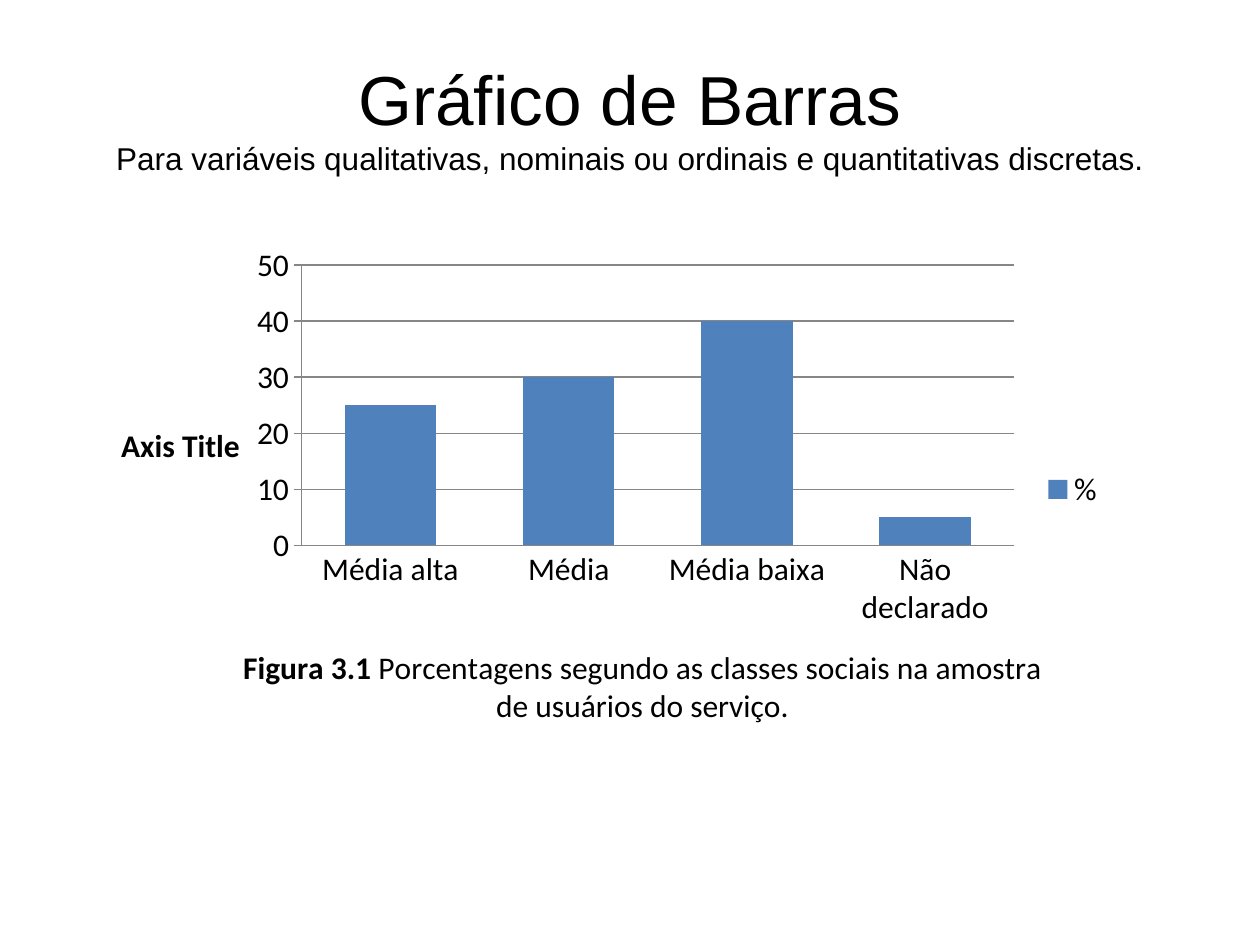
import pptx
import pptx.chart.data
import pptx.dml.color
import pptx.enum.chart
import pptx.enum.text
import pptx.oxml.ns
import pptx.oxml.xmlchemy
import pptx.util

WIDE, HIGH = 10, 7.5
HUES = {"text": "000000", "bar": "4F81BD", "line": "868686"}
qn = pptx.oxml.ns.qn
make = pptx.oxml.xmlchemy.OxmlElement


def hue(name):
    return pptx.dml.color.RGBColor.from_string(HUES[name])


def style(font, face, size, bold=False):
    values = {"name": face, "size": pptx.util.Pt(size), "bold": bold}
    for key, value in values.items():
        setattr(font, key, value)
    font.color.rgb = hue("text")


def place(shape, left, top, width, height):
    spots = {"left": left, "top": top, "width": width, "height": height}
    for key, value in spots.items():
        setattr(shape, key, pptx.util.Inches(value))


def layout(parent, **parts):
    """Fix a chart part at shares of the chart's size."""
    node = parent.find(qn("c:layout"))
    if node is None:
        node = make("c:layout")
        parent.insert(0, node)
    manual = make("c:manualLayout")
    node.append(manual)
    for tag, value in parts.items():
        item = make(f"c:{tag}")
        item.set("val", str(value))
        manual.append(item)


def add_title(slide, lines):
    title = slide.shapes.title
    place(title, WIDE * 0.05, HIGH * 0.04, WIDE * 0.9, 1.25)
    frame = title.text_frame
    frame.word_wrap = True
    frame.vertical_anchor = pptx.enum.text.MSO_ANCHOR.MIDDLE
    para = frame.paragraphs[0]
    para.alignment = pptx.enum.text.PP_ALIGN.CENTER
    for index, (text, size) in enumerate(lines):
        if index:
            para.add_line_break()
        run = para.add_run()
        run.text = text
        style(run.font, "Arial", size)


def name_axis(axis, runs, x, y):
    title = axis.axis_title
    frame = title.text_frame
    para = frame.paragraphs[0]
    for text, bold in runs:
        run = para.add_run()
        run.text = text
        style(run.font, "Calibri", 18, bold)
    frame._txBody.find(qn("a:bodyPr")).set("rot", "0")
    layout(title._element, xMode="edge", yMode="edge", x=x, y=y)


def add_bars(slide):
    data = pptx.chart.data.CategoryChartData()
    data.categories = ["Média alta", "Média", "Média baixa", "Não declarado"]
    data.add_series("%", [25, 30, 40, 5])
    kind = pptx.enum.chart.XL_CHART_TYPE.COLUMN_CLUSTERED
    box = [pptx.util.Inches(n) for n in (0.67, 1.86, 8.2, 4.05)]
    chart = slide.shapes.add_chart(kind, *box, data).chart
    style(chart.font, "Calibri", 18)

    # Plot and legend
    chart.has_title = False
    chart.has_legend = True
    chart.legend.position = pptx.enum.chart.XL_LEGEND_POSITION.RIGHT
    chart.legend.include_in_layout = False
    layout(chart._chartSpace.chart.plotArea, layoutTarget="inner",
           xMode="edge", yMode="edge", x=0.21, y=0.06, w=0.69, h=0.55)
    plot = chart.plots[0]
    plot.gap_width = 95
    plot.vary_by_categories = False
    fill = plot.series[0].format.fill
    fill.solid()
    fill.fore_color.rgb = hue("bar")

    # Axes
    marks = pptx.enum.chart.XL_TICK_MARK
    cat, val = chart.category_axis, chart.value_axis
    for key, value in {"minimum_scale": 0, "maximum_scale": 50,
                       "major_unit": 10, "has_major_gridlines": True}.items():
        setattr(val, key, value)
    cat.major_tick_mark = marks.NONE
    val.major_tick_mark = marks.OUTSIDE
    for part in (cat, val, val.major_gridlines):
        part.format.line.color.rgb = hue("line")
        part.format.line.width = pptx.util.Pt(0.75)
    name_axis(val, [("Axis Title", True)], 0.03, 0.36)
    name_axis(cat, [("Figura 3.1", True),
                    (" Porcentagens segundo as classes sociais na amostra "
                     "de usuários do serviço.", False)], 0.15, 0.8)


def main():
    deck = pptx.Presentation()
    deck.slide_width = pptx.util.Inches(WIDE)
    deck.slide_height = pptx.util.Inches(HIGH)
    slide = deck.slides.add_slide(deck.slide_layouts[5])
    add_title(slide, [
        ("Gráfico de Barras", 39.6),
        ("Para variáveis qualitativas, nominais ou ordinais e "
         "quantitativas discretas.", 18)])
    add_bars(slide)
    deck.save("out.pptx")


if __name__ == "__main__":
    main()
